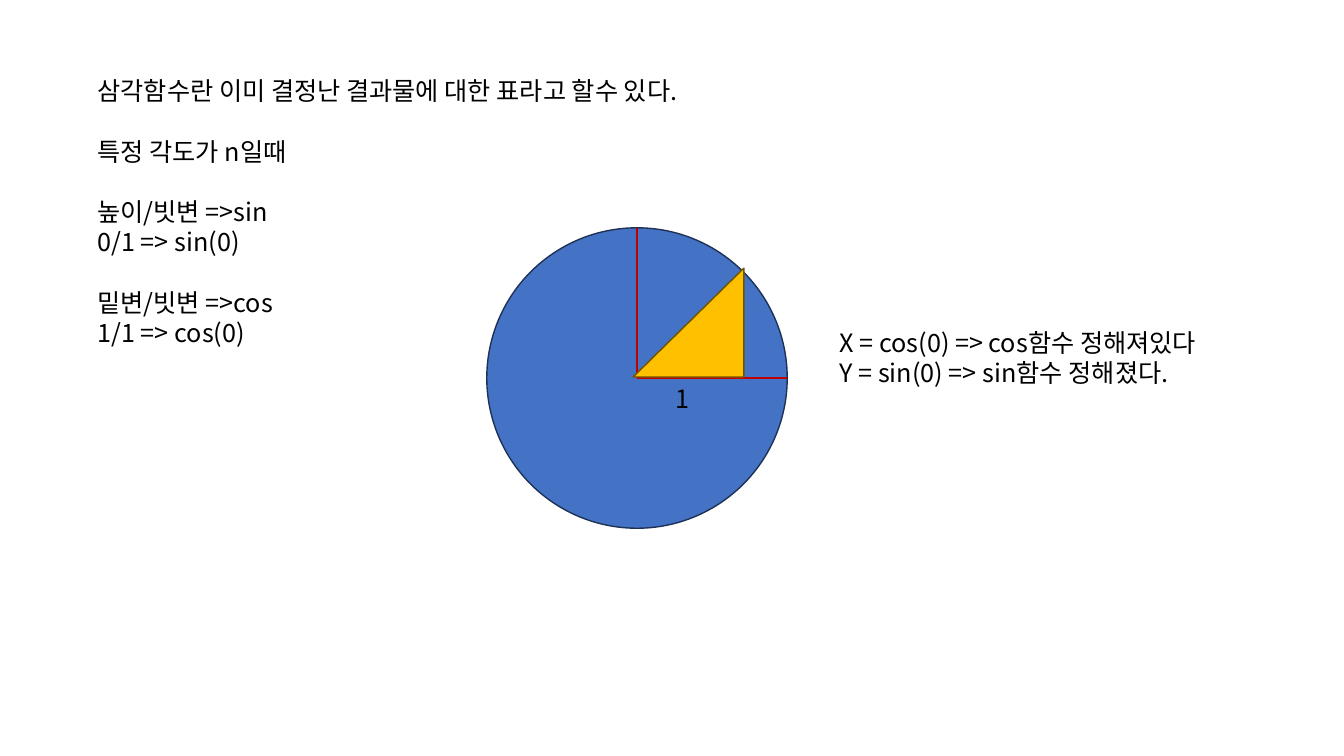
"""Build a slide that explains sine and cosine with a unit circle."""
from dataclasses import dataclass
from math import cos, radians, sin

from lxml import etree
from pptx import Presentation
from pptx.dml.color import RGBColor
from pptx.enum.shapes import MSO_CONNECTOR, MSO_SHAPE
from pptx.enum.text import MSO_AUTO_SIZE
from pptx.oxml.ns import qn
from pptx.shapes.autoshape import Shape
from pptx.slide import Slide
from pptx.util import Pt

LINE = MSO_CONNECTOR.STRAIGHT
OVAL = MSO_SHAPE.OVAL
WEDGE = MSO_SHAPE.RIGHT_TRIANGLE
FIT = MSO_AUTO_SIZE.SHAPE_TO_FIT_TEXT

FONT = "Noto Sans CJK KR"
COLORS = {
    "text": "000000",
    "disc": "4472C4",
    "rim": "1E3256",
    "ray": "C00000",
    "wedge": "FFC000",
    "edge": "705400",
}
MID_X, MID_Y, RADIUS = 455, 270, 107.3
ANGLES = (0, 90, 45)
GAP = 21.6


@dataclass
class Box:
    left: float
    top: float
    width: float
    height: float


@dataclass
class Note:
    box: Box
    groups: list[list[str]]


@dataclass
class Form:
    kind: MSO_SHAPE
    box: Box
    fill: str
    line: str
    flip: bool = False


DISC = Form(OVAL, Box(MID_X - RADIUS, MID_Y - RADIUS, 2 * RADIUS, 2 * RADIUS), "disc", "rim")
TRIANGLE = Form(WEDGE, Box(452.2, 191.5, 79.2, 77.8), "wedge", "edge", flip=True)

NOTES = [
    Note(Box(62.6, 50.4, 481.7, 225.4), [
        ["삼각함수란 이미 결정난 결과물에 대한 표라고 할수 있다."],
        ["특정 각도가 n일때"],
        ["높이/빗변 =>sin", "0/1 => sin(0)"],
        ["밑변/빗변 =>cos", "1/1 => cos(0)"],
    ]),
    Note(Box(475.2, MID_Y, 24.5, 28.8), [["1"]]),
    Note(Box(592.6, 230.4, 305.3, 51.1), [
        ["X = cos(0) => cos함수 정해져있다", "Y = sin(0) => sin함수 정해졌다."],
    ]),
]


def tint(name: str) -> RGBColor:
    return RGBColor.from_string(COLORS[name])


def place(box: Box) -> tuple[Pt, Pt, Pt, Pt]:
    return Pt(box.left), Pt(box.top), Pt(box.width), Pt(box.height)


def write(part, text: str, *, size: float = 18, color: str = "text", before: float = 0) -> None:
    part.space_before = Pt(before)
    run = part.add_run()
    run.text = text
    run.font.size = Pt(size)
    run.font.name = FONT
    run.font.color.rgb = tint(color)
    etree.SubElement(run.font._element, qn("a:ea")).set("typeface", FONT)


def add_note(slide: Slide, note: Note) -> None:
    frame = slide.shapes.add_textbox(*place(note.box)).text_frame
    frame.word_wrap = False
    frame.auto_size = FIT
    for i, group in enumerate(note.groups):
        for j, text in enumerate(group):
            first = i == 0 and j == 0
            part = frame.paragraphs[0] if first else frame.add_paragraph()
            write(part, text, before=GAP if i and j == 0 else 0)


def add_form(slide: Slide, form: Form) -> Shape:
    shape = slide.shapes.add_shape(form.kind, *place(form.box))
    shape.shadow.inherit = False
    shape.fill.solid()
    shape.fill.fore_color.rgb = tint(form.fill)
    shape.line.color.rgb = tint(form.line)
    shape.line.width = Pt(1)
    if form.flip:
        shape.element.spPr.find(qn("a:xfrm")).set("flipH", "1")
    return shape


def add_ray(slide: Slide, angle: float) -> None:
    turn = radians(angle)
    end_x, end_y = MID_X + RADIUS * cos(turn), MID_Y - RADIUS * sin(turn)
    ray = slide.shapes.add_connector(LINE, Pt(MID_X), Pt(MID_Y), Pt(end_x), Pt(end_y))
    ray.line.color.rgb = tint("ray")
    ray.line.width = Pt(1.5)
    etree.SubElement(ray._element.spPr, qn("a:effectLst"))


def main() -> None:
    deck = Presentation()
    deck.slide_width, deck.slide_height = Pt(960), Pt(540)
    slide = deck.slides.add_slide(deck.slide_layouts[6])
    rule, one, result = NOTES
    add_note(slide, rule)
    add_form(slide, DISC)
    for angle in ANGLES:
        add_ray(slide, angle)
    add_note(slide, one)
    add_form(slide, TRIANGLE)
    add_note(slide, result)
    deck.save("out.pptx")


if __name__ == "__main__":
    main()
